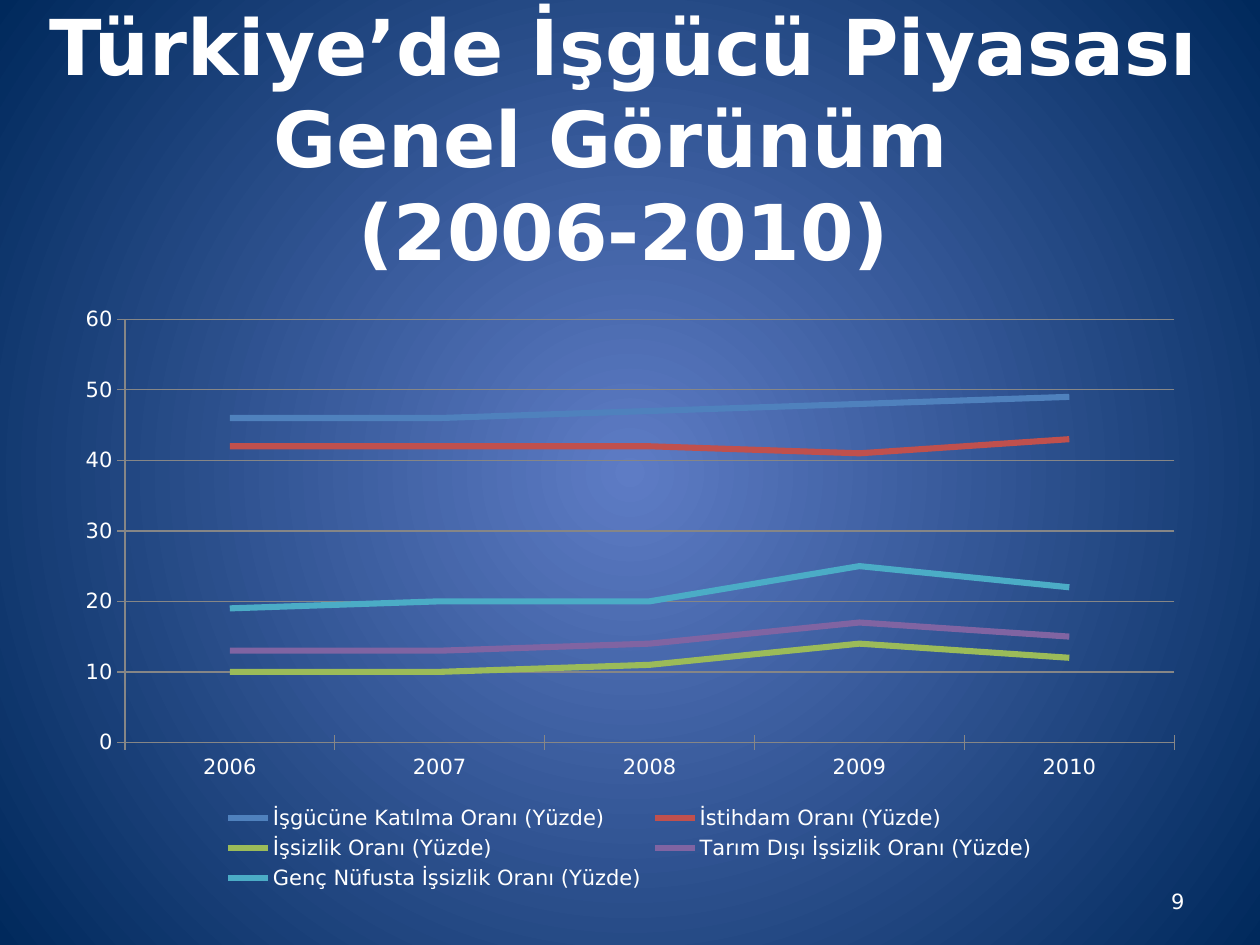
from lxml import etree
from pptx import Presentation
from pptx import util as u
from pptx.chart.data import CategoryChartData
from pptx.dml.color import RGBColor
from pptx.enum import chart as charts, text
from pptx.oxml import ns

THEME = {
    "font": "DejaVu Sans",
    "ink": RGBColor.from_string("FFFFFF"),
    "axis": RGBColor.from_string("868686"),
    "glow": RGBColor.from_string("5E7CC5"),
    "edge": RGBColor.from_string("00295C"),
    "title": u.Pt(44),
    "body": u.Pt(12),
    "series_line": u.Pt(3.5),
    "axis_line": u.Pt(0.75),
}
RATES = [
    ("İşgücüne Katılma Oranı (Yüzde)", (46, 46, 47, 48, 49), "4F81BD"),
    ("İstihdam Oranı (Yüzde)", (42, 42, 42, 41, 43), "C0504D"),
    ("İşsizlik Oranı (Yüzde)", (10, 10, 11, 14, 12), "9BBB59"),
    ("Tarım Dışı İşsizlik Oranı (Yüzde)", (13, 13, 14, 17, 15), "8064A2"),
    ("Genç Nüfusta İşsizlik Oranı (Yüzde)", (19, 20, 20, 25, 22), "4BACC6"),
]

presentation = Presentation()
presentation.slide_width = u.Inches(10)
presentation.slide_height = u.Inches(7.5)
slide = presentation.slides.add_slide(presentation.slide_layouts[5])


def share(left, top, width, height):
    across, down = presentation.slide_width, presentation.slide_height
    return int(left * across), int(top * down), int(width * across), int(height * down)


def write(shape, words, size, align, bold=False):
    frame = shape.text_frame
    frame.word_wrap = True
    frame.auto_size = text.MSO_AUTO_SIZE.NONE
    frame.vertical_anchor = text.MSO_ANCHOR.MIDDLE
    paragraph = frame.paragraphs[0]
    paragraph.text = words
    paragraph.alignment = align
    for run in paragraph.runs:
        run.font.name = THEME["font"]
        run.font.size = size
        run.font.bold = bold
        run.font.color.rgb = THEME["ink"]


background = slide.background.fill
background.gradient()
for stop, color in zip(background.gradient_stops, (THEME["glow"], THEME["edge"])):
    stop.color.rgb = color
gradient = slide.element.find(".//" + ns.qn("a:gradFill"))
gradient.remove(gradient.find(ns.qn("a:lin")))
circle = etree.SubElement(gradient, ns.qn("a:path"), path="circle")
etree.SubElement(circle, ns.qn("a:fillToRect"), l="50000", t="50000", r="50000", b="50000")

title = slide.shapes.title
title.left, title.top, title.width, title.height = share(0.023, 0.041, 0.945, 0.208)
write(title, "Türkiye’de İşgücü Piyasası Genel Görünüm \v(2006-2010)",
      size=THEME["title"], align=text.PP_ALIGN.CENTER, bold=True)

page_number = slide.shapes.add_textbox(*share(0.717, 0.927, 0.233, 0.053))
write(page_number, "9", size=THEME["body"], align=text.PP_ALIGN.RIGHT)

data = CategoryChartData()
data.categories = [str(year) for year in range(2006, 2011)]
for name, values, color in RATES:
    data.add_series(name, values)
chart = slide.shapes.add_chart(
    charts.XL_CHART_TYPE.LINE, *share(0.05, 0.312, 0.9, 0.636), data).chart
chart.has_title = False
chart.font.name = THEME["font"]
chart.font.size = THEME["body"]
chart.font.color.rgb = THEME["ink"]
chart.has_legend = True
chart.legend.position = charts.XL_LEGEND_POSITION.BOTTOM
chart.legend.include_in_layout = False

plot = chart.plots[0]
plot.vary_by_categories = False
for series, (name, values, color) in zip(plot.series, RATES):
    series.smooth = False
    series.marker.style = charts.XL_MARKER_STYLE.NONE
    series.format.line.width = THEME["series_line"]
    series.format.line.color.rgb = RGBColor.from_string(color)

chart.value_axis.minimum_scale = 0
chart.value_axis.maximum_scale = 60
chart.value_axis.major_unit = 10
chart.value_axis.has_major_gridlines = True
for axis in (chart.category_axis, chart.value_axis):
    axis.major_tick_mark = charts.XL_TICK_MARK.CROSS
for ruled in (chart.category_axis, chart.value_axis, chart.value_axis.major_gridlines):
    ruled.format.line.color.rgb = THEME["axis"]
    ruled.format.line.width = THEME["axis_line"]

presentation.save("out.pptx")
